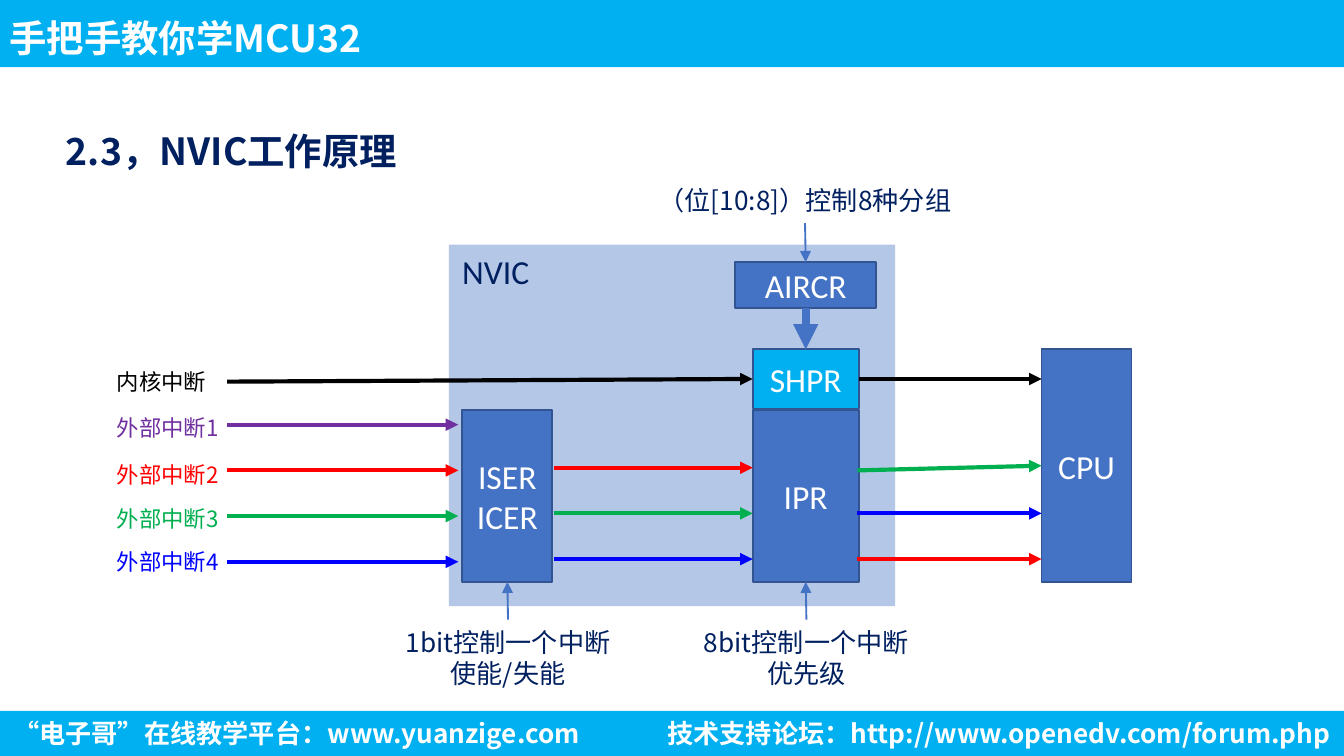
from lxml.etree import SubElement
from pptx import Presentation
from pptx.dml.color import RGBColor
from pptx.enum.shapes import MSO_CONNECTOR, MSO_SHAPE
from pptx.enum.text import MSO_ANCHOR, MSO_AUTO_SIZE, PP_ALIGN
from pptx.oxml.ns import qn
from pptx.util import Inches, Pt

CJK, LATIN = "Noto Sans CJK SC", "Calibri"
WHITE, NAVY, SKY, BLUE = "FFFFFF", "002060", "00B0F0", "4472C4"
PURPLE, RED, GREEN, PURE_BLUE, BLACK = "7030A0", "FF0000", "00B050", "0000FF", "000000"
TOP, LEFT, BOTTOM, RIGHT = range(4)  # connection sites of a rectangle


def rgb(color):
    return RGBColor.from_string(color)


def write(shape, text, size=14, color=NAVY, font=CJK, bold=False, align=PP_ALIGN.LEFT,
          anchor=MSO_ANCHOR.TOP, spacing=None, insets=(0.1, 0.05), fit=MSO_AUTO_SIZE.NONE):
    frame = shape.text_frame
    frame.word_wrap = True
    frame.auto_size = fit
    frame.vertical_anchor = anchor
    frame.margin_left = frame.margin_right = Inches(insets[0])
    frame.margin_top = frame.margin_bottom = Inches(insets[1])
    frame.text = text
    for paragraph in frame.paragraphs:
        paragraph.alignment = align
        if spacing:
            paragraph.line_spacing = spacing
        for run in paragraph.runs:
            run.font.size = Pt(size)
            run.font.bold = bold
            run.font.color.rgb = rgb(color)
            run.font.name = font
            SubElement(run.font._element, qn("a:ea"), typeface=font)


def add_label(slide, box, text, **style):
    label = slide.shapes.add_textbox(*map(Inches, box))
    write(label, text, **style)
    return label


def add_block(slide, box, fill, outline=None, text=None, **style):
    block = slide.shapes.add_shape(MSO_SHAPE.RECTANGLE, *map(Inches, box))
    block.shadow.inherit = False
    block.fill.solid()
    block.fill.fore_color.rgb = rgb(fill)
    if outline:
        block.line.color.rgb = rgb(outline)
        block.line.width = Pt(1)
    else:
        block.line.fill.background()
    if text:
        write(block, text, size=18, font=LATIN, **style)
    return block


def add_register(slide, box, text, fill=BLUE):
    return add_block(slide, box, fill, "325491", text, color=WHITE,
                     align=PP_ALIGN.CENTER, anchor=MSO_ANCHOR.MIDDLE)


def add_arrow(slide, color, start=(0, 0), end=(0, 0), width=2.25, source=None, target=None):
    """source and target are (shape, connection site) and replace start and end."""
    arrow = slide.shapes.add_connector(MSO_CONNECTOR.STRAIGHT, *map(Inches, (*start, *end)))
    if source:
        arrow.begin_connect(*source)
    if target:
        arrow.end_connect(*target)
    arrow.line.color.rgb = rgb(color)
    arrow.line.width = Pt(width)
    SubElement(arrow.line._get_or_add_ln(), qn("a:tailEnd"), type="triangle")
    SubElement(arrow._element.spPr, qn("a:effectLst"))


def build_header(slide, left, top, width, height):
    add_block(slide, (left, top, width, height), SKY)
    add_label(slide, (left, top, 6.45, height), "手把手教你学MCU32", size=20, color=WHITE,
              bold=True, anchor=MSO_ANCHOR.MIDDLE, spacing=1.2, insets=(0.07, 0.04))


def build_footer(slide, left, top, width, height):
    add_block(slide, (left, top, width, height), SKY)
    style = dict(color=WHITE, bold=True, fit=MSO_AUTO_SIZE.SHAPE_TO_FIT_TEXT)
    add_label(slide, (left, top, 5.88, height),
              "“电子哥”在线教学平台：www.yuanzige.com", **style)
    add_label(slide, (left + width - 6.37, top, 6.37, height),
              "技术支持论坛：http://www.openedv.com/forum.php", align=PP_ALIGN.RIGHT, **style)


def build_title(slide, left, top, width, height):
    title = slide.shapes.title
    title.left, title.top, title.width, title.height = map(Inches, (left, top, width, height))
    write(title, "2.3，NVIC工作原理", size=20, bold=True, spacing=1.5, insets=(0.05, 0.02))


def build_diagram(slide, left, top):
    def at(x, y, *size):
        return (left + x, top + y, *size)

    # NVIC panel, its registers and the CPU
    add_block(slide, at(2.57, 0.5, 3.32, 2.69), "B4C7E7", text="NVIC")
    enable = add_register(slide, at(2.67, 1.73, 0.67, 1.28), "ISER\nICER")
    priority = add_register(slide, at(4.83, 1.73, 0.79, 1.28), "IPR")
    cpu = add_register(slide, at(6.98, 1.28, 0.67, 1.73), "CPU")
    grouping = add_register(slide, at(4.7, 0.63, 1.05, 0.34), "AIRCR")
    system = add_register(slide, at(4.83, 1.28, 0.79, 0.44), "SHPR", SKY)
    add_arrow(slide, BLUE, width=4.5, source=(grouping, BOTTOM), target=(system, TOP))

    # Notes pointing at the registers
    notes = [
        (at(3.69, 0, 3.06, 0.34), "（位[10:8]）控制8种分组", BOTTOM, grouping, TOP),
        (at(2.1, 3.29, 1.82, 0.57), "1bit控制一个中断\n使能/失能", TOP, enable, BOTTOM),
        (at(4.32, 3.29, 1.82, 0.57), "8bit控制一个中断优先级", TOP, priority, BOTTOM),
    ]
    for box, text, note_side, register, side in notes:
        note = add_label(slide, box, text, align=PP_ALIGN.CENTER)
        add_arrow(slide, BLUE, width=1, source=(note, note_side), target=(register, side))

    # Core interrupt passes through SHPR only
    core_y = 1.5
    add_label(slide, at(0, 1.37, 1.09, 0.3), "内核中断", size=12, color=BLACK)
    add_arrow(slide, BLACK, start=at(0.92, core_y + 0.02), target=(system, LEFT))
    add_arrow(slide, BLACK, source=(system, RIGHT), end=at(6.98, core_y))

    # External interrupts enter ISER/ICER
    pitch = 0.34
    sources = [(PURPLE, 1.71), (RED, 2.06), (GREEN, 2.39), (PURE_BLUE, 2.71)]
    for i, (color, label_y) in enumerate(sources):
        y = 1.84 + i * pitch
        add_label(slide, at(0, label_y, 1.09, 0.3), f"外部中断{i + 1}", size=12, color=color)
        add_arrow(slide, color, start=at(0.92, y), end=at(2.64, y))

    # Enabled interrupts reach IPR and leave in order of priority
    for i, (enabled, ordered) in enumerate([(RED, GREEN), (GREEN, PURE_BLUE), (PURE_BLUE, RED)]):
        y = 2.16 + i * pitch
        add_arrow(slide, enabled, start=at(3.35, y), end=at(4.83, y))
        if i == 0:
            add_arrow(slide, ordered, start=at(5.61, y + 0.02), target=(cpu, LEFT))
        else:
            add_arrow(slide, ordered, start=at(5.61, y), end=at(6.98, y))


def main():
    deck = Presentation()
    deck.slide_width = Inches(10)
    deck.slide_height = deck.slide_width * 9 // 16
    slide = deck.slides.add_slide(deck.slide_layouts[5])
    build_footer(slide, 0, 5.29, 10, 0.34)
    build_header(slide, 0, 0, 10, 0.5)
    build_title(slide, 0.44, 0.77, 3.79, 0.5)
    build_diagram(slide, 0.77, 1.32)
    deck.save("out.pptx")


if __name__ == "__main__":
    main()
